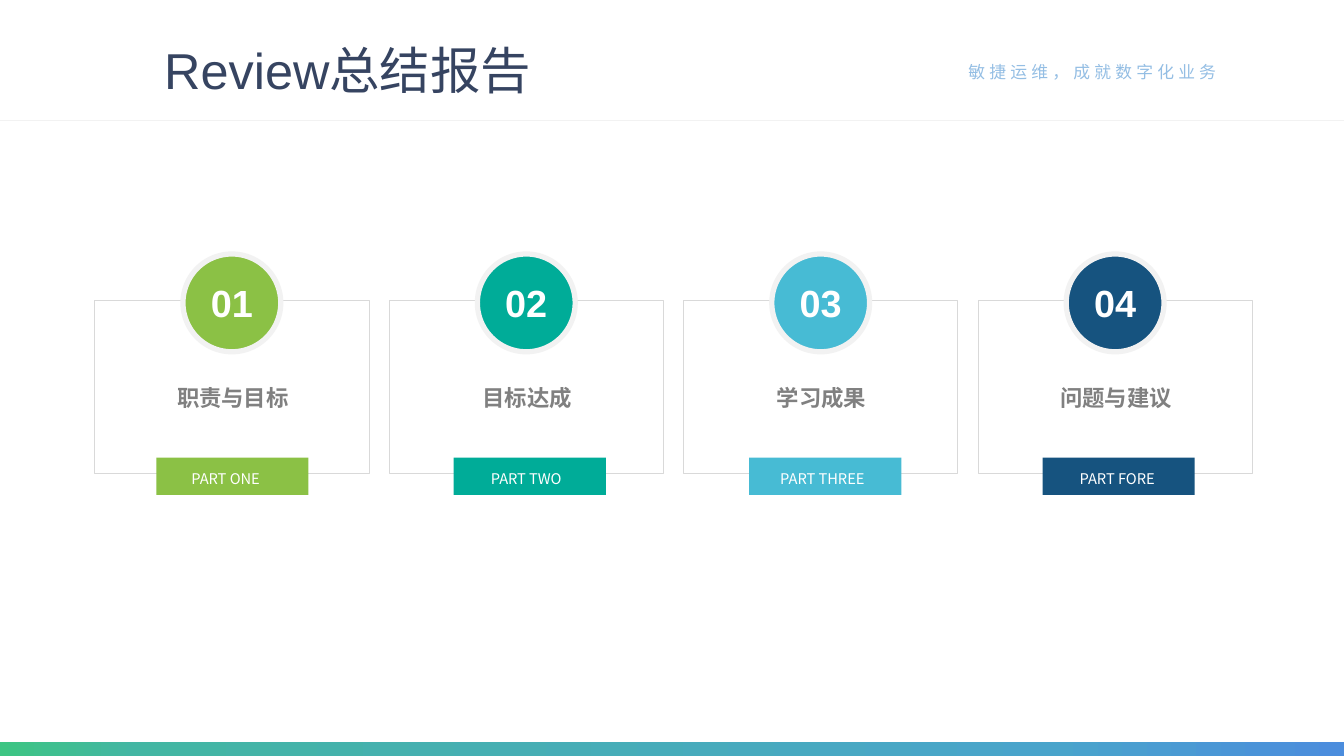
from lxml import etree
from pptx import Presentation, util as u
from pptx.dml.color import RGBColor
from pptx.enum import shapes, text
from pptx.oxml import ns

# Content
TITLE = "Review总结报告"
SLOGAN = "敏捷运维，成就数字化业务"
# number, heading, tag, colour, tag offset, tag text offset
PARTS = [
    ("01", "职责与目标", "PART ONE", "8BC145", 0.61, 0.86),
    ("02", "目标达成", "PART TWO", "00AC98", 0.64, 0.91),
    ("03", "学习成果", "PART THREE", "47BBD4", 0.65, 0.86),
    ("04", "问题与建议", "PART FORE", "16537F", 0.64, 0.91),
]
BAR_STOPS = [(0, "3DC583"), (10, "43B6A3"), (78, "49A4CB"), (100, "4B8DDD")]
LATIN, CHINESE = "Arial", "Noto Sans CJK SC"

# Grid, in inches
WIDTH, HEIGHT = 13.33, 7.5
CARD_LEFT, CARD_TOP, CARD_WIDTH, CARD_HEIGHT = 0.94, 2.98, 2.72, 1.72
CARD_PITCH = 2.92
CIRCLE = 0.97
BAR_HEIGHT = 0.14

presentation = Presentation()
presentation.slide_width, presentation.slide_height = u.Inches(WIDTH), u.Inches(HEIGHT)
slide = presentation.slides.add_slide(presentation.slide_layouts[6])


def color(value):
    return RGBColor.from_string(value)


def add_block(kind, box, fill=None, line=None, weight=0.5):
    shape = slide.shapes.add_shape(kind, *map(u.Inches, box))
    shape.shadow.inherit = False
    if fill:
        shape.fill.solid()
        shape.fill.fore_color.rgb = color(fill)
    else:
        shape.fill.background()
    if line:
        shape.line.color.rgb = color(line)
        shape.line.width = u.Pt(weight)
    else:
        shape.line.fill.background()
    return shape


def write(shape, words, size, font, ink, align=text.PP_ALIGN.LEFT, bold=False,
          anchor=text.MSO_ANCHOR.TOP):
    frame = shape.text_frame
    frame.text = words
    frame.word_wrap = True
    frame.vertical_anchor = anchor
    paragraph = frame.paragraphs[0]
    paragraph.alignment = align
    run = paragraph.runs[0]
    run.font.size, run.font.bold, run.font.name = u.Pt(size), bold, font
    run.font.color.rgb = color(ink)
    east_asian = etree.SubElement(run.font._element, ns.qn("a:ea"))
    east_asian.set("typeface", CHINESE)
    return paragraph


def add_text(box, *args, **kwargs):
    return write(slide.shapes.add_textbox(*map(u.Inches, box)), *args, **kwargs)


# Header
slogan = add_text((9.2, 0.56, 3.27, 0.3), SLOGAN, 12, CHINESE, "94BEE4",
                  text.PP_ALIGN.CENTER)
slogan.runs[0].font._element.set("spc", "300")
title = add_text((1.53, 0.41, 10.18, 0.64), TITLE, 36, LATIN, "364461",
                 anchor=text.MSO_ANCHOR.MIDDLE)
title.line_spacing = 0.9
rule = slide.shapes.add_connector(shapes.MSO_CONNECTOR.STRAIGHT, 0, u.Inches(1.19),
                                  u.Inches(WIDTH), u.Inches(1.19))
rule.line.color.rgb = color("F2F2F2")
rule.line.width = u.Pt(0.5)
etree.SubElement(rule._element.spPr, ns.qn("a:effectLst"))

# Footer bar with a four-stop gradient
bar = add_block(shapes.MSO_SHAPE.RECTANGLE, (0, HEIGHT - BAR_HEIGHT, WIDTH, BAR_HEIGHT))
bar.fill.gradient()
bar.fill.gradient_angle = 0
stop_list = bar._element.spPr.find(ns.qn("a:gradFill")).find(ns.qn("a:gsLst"))
for stop in list(stop_list):
    stop_list.remove(stop)
for position, value in BAR_STOPS:
    stop = etree.SubElement(stop_list, ns.qn("a:gs"), pos=str(position * 1000))
    etree.SubElement(stop, ns.qn("a:srgbClr"), val=value)

# Four part cards
for index, (number, heading, tag, accent, tag_offset, label_offset) in enumerate(PARTS):
    left = CARD_LEFT + index * CARD_PITCH
    add_block(shapes.MSO_SHAPE.RECTANGLE, (left, CARD_TOP, CARD_WIDTH, CARD_HEIGHT),
              line="D9D9D9")
    circle = add_block(shapes.MSO_SHAPE.OVAL,
                       (left + (CARD_WIDTH - CIRCLE) / 2, 2.52, CIRCLE, CIRCLE),
                       accent, "F2F2F2", 3.75)
    write(circle, number, 27, LATIN, "FFFFFF", text.PP_ALIGN.CENTER, True,
          text.MSO_ANCHOR.MIDDLE)
    add_block(shapes.MSO_SHAPE.RECTANGLE, (left + tag_offset, 4.54, 1.51, 0.37), accent)
    add_text((left + 0.67, 3.76, 1.4, 0.4), heading, 16, CHINESE, "808080",
             text.PP_ALIGN.CENTER, True)
    add_text((left + label_offset, 4.61, 1.12, 0.28), tag, 10.5, CHINESE, "FFFFFF")

presentation.save("out.pptx")
